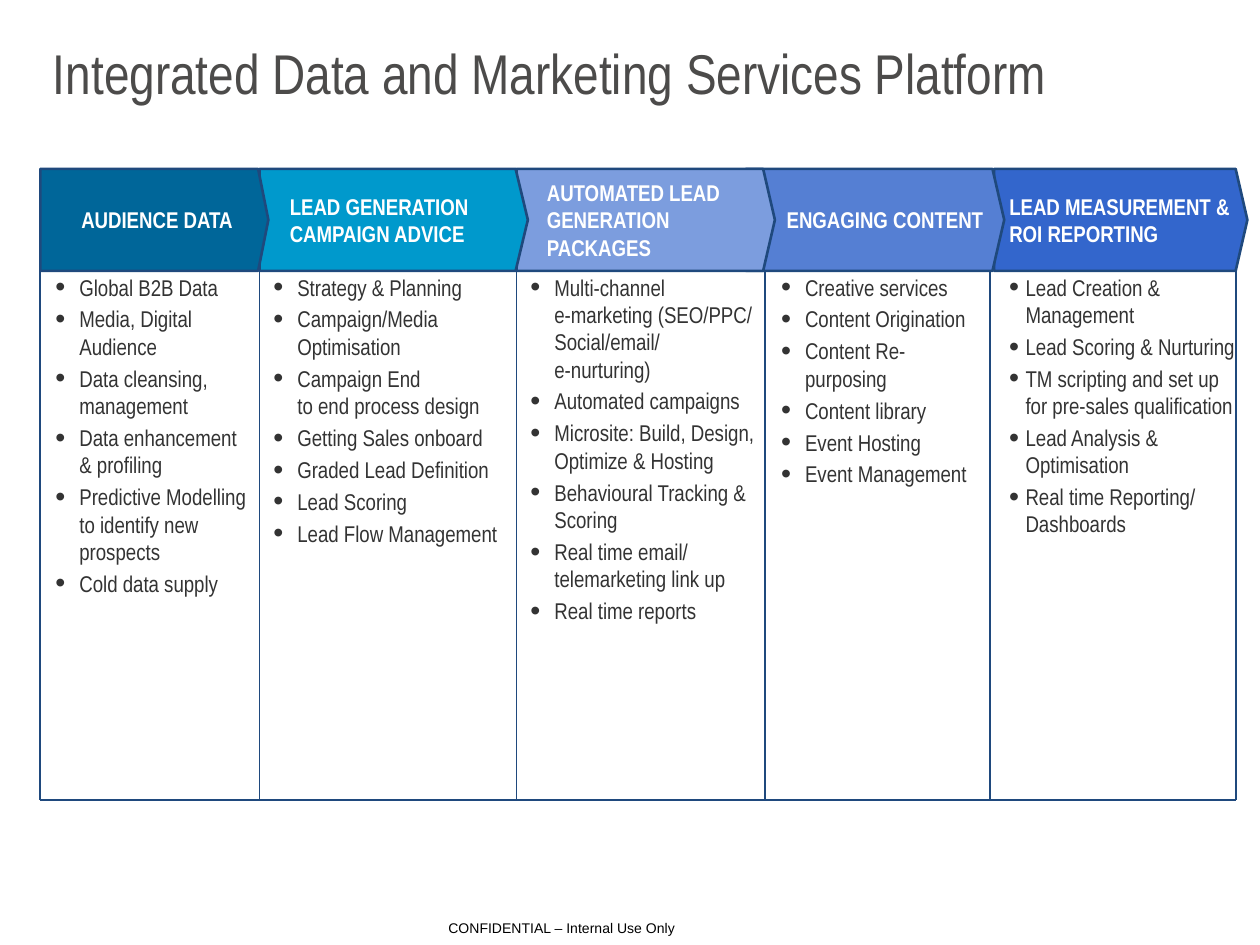
from dataclasses import dataclass

from lxml.etree import SubElement
from pptx import Presentation
from pptx.dml.color import RGBColor
from pptx.enum.shapes import MSO_CONNECTOR as Connector, MSO_SHAPE as Shape
from pptx.enum.text import MSO_ANCHOR as Anchor, MSO_AUTO_SIZE as AutoSize, PP_ALIGN as Align
from pptx.oxml.ns import qn
from pptx.util import Inches, Pt

WHITE = RGBColor(0xFF, 0xFF, 0xFF)
BLACK = RGBColor(0x00, 0x00, 0x00)
NAVY = RGBColor(0x1F, 0x49, 0x7D)
TITLE_GREY = RGBColor(0x4C, 0x4B, 0x4A)
TEXT_GREY = RGBColor(0x33, 0x33, 0x33)
DEEP_BLUE = RGBColor(0x00, 0x66, 0x99)
CYAN = RGBColor(0x00, 0x99, 0xCC)
PALE_BLUE = RGBColor(0x7C, 0x9D, 0xDE)
MID_BLUE = RGBColor(0x55, 0x7F, 0xD3)
ROYAL_BLUE = RGBColor(0x33, 0x66, 0xCC)

NARROW = "Arial Narrow"
TEXT_SIZE = Pt(13)
ITEM_GAP = Pt(2.6)

# Grid in inches: column borders, and the rows of headers and lists
BORDERS = (0.32, 2.06, 4.10, 6.07, 7.86, 9.81)
HEADER_TOP, HEADER_HEIGHT = 1.34, 0.81
LIST_TOP, LIST_BOTTOM = 2.12, 6.35


@dataclass(frozen=True)
class Span:
    left: float
    width: float


@dataclass(frozen=True)
class Stage:
    heading: str
    color: RGBColor
    arrow: Span
    panel: Span
    panel_height: float
    items: tuple[str, ...]
    point: float = 0.115
    align: Align = Align.LEFT
    heading_indent: float = 0.12
    bullet_hang: float = 0.19


STAGES = (
    Stage("AUDIENCE DATA", DEEP_BLUE, Span(0.32, 1.81), Span(0.25, 1.81), 4.22,
          ("Global B2B Data",
           "Media, Digital Audience",
           "Data cleansing, management",
           "Data enhancement \n& profiling",
           "Predictive Modelling to identify new prospects",
           "Cold data supply"),
          point=0.1, align=Align.CENTER, heading_indent=0),
    Stage("LEAD GENERATION CAMPAIGN ADVICE", CYAN, Span(2.06, 2.13), Span(1.98, 2.12), 4.15,
          ("Strategy & Planning",
           "Campaign/Media Optimisation",
           "Campaign End \nto end process design",
           "Getting Sales onboard",
           "Graded Lead Definition",
           "Lead Scoring",
           "Lead Flow Management"),
          point=0.12),
    Stage("AUTOMATED LEAD GENERATION PACKAGES", PALE_BLUE, Span(4.10, 2.05), Span(4.02, 2.05), 4.07,
          ("Multi-channel \ne-marketing (SEO/PPC/ Social/email/\ne-nurturing)",
           "Automated campaigns",
           "Microsite: Build, Design, Optimize & Hosting",
           "Behavioural Tracking & Scoring",
           "Real time email/ \ntelemarketing link up",
           "Real time reports")),
    Stage("ENGAGING CONTENT", MID_BLUE, Span(5.92, 2.05), Span(6.01, 1.80), 3.28,
          ("Creative services",
           "Content Origination",
           "Content Re-purposing",
           "Content library",
           "Event Hosting",
           "Event Management"),
          align=Align.CENTER),
    Stage("LEAD MEASUREMENT & ROI REPORTING", ROYAL_BLUE, Span(7.89, 2.01), Span(7.76, 2.14), 3.36,
          ("Lead Creation & Management",
           "Lead Scoring & Nurturing",
           "TM scripting and set up for pre-sales qualification",
           "Lead Analysis & Optimisation",
           "Real time Reporting/ Dashboards"),
          heading_indent=0, bullet_hang=0.13),
)


def style_font(paragraph, name: str, size: Pt, color: RGBColor, bold: bool = False) -> None:
    font = paragraph.font
    font.name, font.size, font.bold = name, size, bold
    font.color.rgb = color


def set_indent(paragraph, margin: float, first_line: float = 0) -> None:
    properties = paragraph._p.get_or_add_pPr()
    properties.set("marL", str(Inches(margin)))
    properties.set("indent", str(Inches(first_line)))


def add_bullet(paragraph) -> None:
    properties = paragraph._p.get_or_add_pPr()
    bullet_parts = (("a:buSzPct", "val", "125000"), ("a:buFont", "typeface", "Arial"),
                    ("a:buChar", "char", "•"))
    # Bullet parts come before the default run properties set by paragraph.font
    for tag, key, value in bullet_parts:
        SubElement(properties, qn(tag)).set(key, value)


def add_block(slide, kind: Shape, span: Span, top: float, height: float,
              color: RGBColor, left_inset: float, right_inset: float):
    shape = slide.shapes.add_shape(kind, Inches(span.left), Inches(top),
                                   Inches(span.width), Inches(height))
    shape.shadow.inherit = False
    shape.fill.solid()
    shape.fill.fore_color.rgb = color
    frame = shape.text_frame
    frame.word_wrap = True
    frame.margin_left, frame.margin_right = Inches(left_inset), Inches(right_inset)
    frame.margin_top = frame.margin_bottom = Inches(0.05)
    return shape


def add_panel(slide, stage: Stage) -> None:
    """Draw the white panel with the stage's bullet list."""
    panel = add_block(slide, Shape.RECTANGLE, stage.panel, LIST_TOP, stage.panel_height,
                      WHITE, 0.06, 0.06)
    panel.line.fill.background()
    frame = panel.text_frame
    frame.vertical_anchor = Anchor.TOP
    for index, item in enumerate(stage.items):
        paragraph = frame.add_paragraph() if index else frame.paragraphs[0]
        paragraph.text = item
        paragraph.alignment = Align.LEFT
        paragraph.space_before = ITEM_GAP
        set_indent(paragraph, 0.32, -stage.bullet_hang)
        add_bullet(paragraph)
        style_font(paragraph, NARROW, TEXT_SIZE, TEXT_GREY)


def add_header(slide, stage: Stage) -> None:
    arrow = add_block(slide, Shape.PENTAGON, stage.arrow, HEADER_TOP, HEADER_HEIGHT,
                      stage.color, 0.12, 0.04)
    arrow.adjustments[0] = stage.point
    arrow.line.color.rgb = NAVY
    arrow.line.width = Pt(1.5)
    arrow.text_frame.vertical_anchor = Anchor.MIDDLE
    paragraph = arrow.text_frame.paragraphs[0]
    paragraph.text = stage.heading
    paragraph.alignment = stage.align
    set_indent(paragraph, stage.heading_indent)
    style_font(paragraph, NARROW, TEXT_SIZE, WHITE, bold=True)


def add_rule(slide, start: tuple[float, float], end: tuple[float, float]) -> None:
    rule = slide.shapes.add_connector(Connector.STRAIGHT, *map(Inches, start + end))
    rule.line.color.rgb = NAVY
    rule.line.width = Pt(1)
    SubElement(rule._element.spPr, qn("a:effectLst"))


def add_title(slide) -> None:
    title = slide.shapes.title
    title.left, title.top, title.width, title.height = map(Inches, (0.32, 0.16, 9.68, 0.83))
    frame = title.text_frame
    frame.text = "Integrated Data and Marketing Services Platform"
    frame.vertical_anchor = Anchor.MIDDLE
    frame.auto_size = AutoSize.NONE
    frame.paragraphs[0].alignment = Align.LEFT
    style_font(frame.paragraphs[0], NARROW, Pt(32), TITLE_GREY)


def add_footer(slide) -> None:
    footer = slide.shapes.add_textbox(*map(Inches, (3.46, 7.25, 2.02, 0.24)))
    frame = footer.text_frame
    frame.text = "CONFIDENTIAL – Internal Use Only"
    frame.word_wrap = False
    frame.auto_size = AutoSize.SHAPE_TO_FIT_TEXT
    style_font(frame.paragraphs[0], "Arial", Pt(8), BLACK)


def main() -> None:
    presentation = Presentation()
    presentation.slide_width, presentation.slide_height = Inches(10), Inches(7.5)
    slide = presentation.slides.add_slide(presentation.slide_layouts[5])
    add_title(slide)
    add_footer(slide)
    for stage in STAGES:
        add_panel(slide, stage)
    for y in (LIST_TOP, LIST_BOTTOM):
        add_rule(slide, (BORDERS[0], y), (BORDERS[-1], y))
    for x in BORDERS:
        add_rule(slide, (x, LIST_TOP), (x, LIST_BOTTOM))
    # Right to left, so that each arrow's point lies over the next arrow
    for stage in reversed(STAGES):
        add_header(slide, stage)
    presentation.save("out.pptx")


if __name__ == "__main__":
    main()
